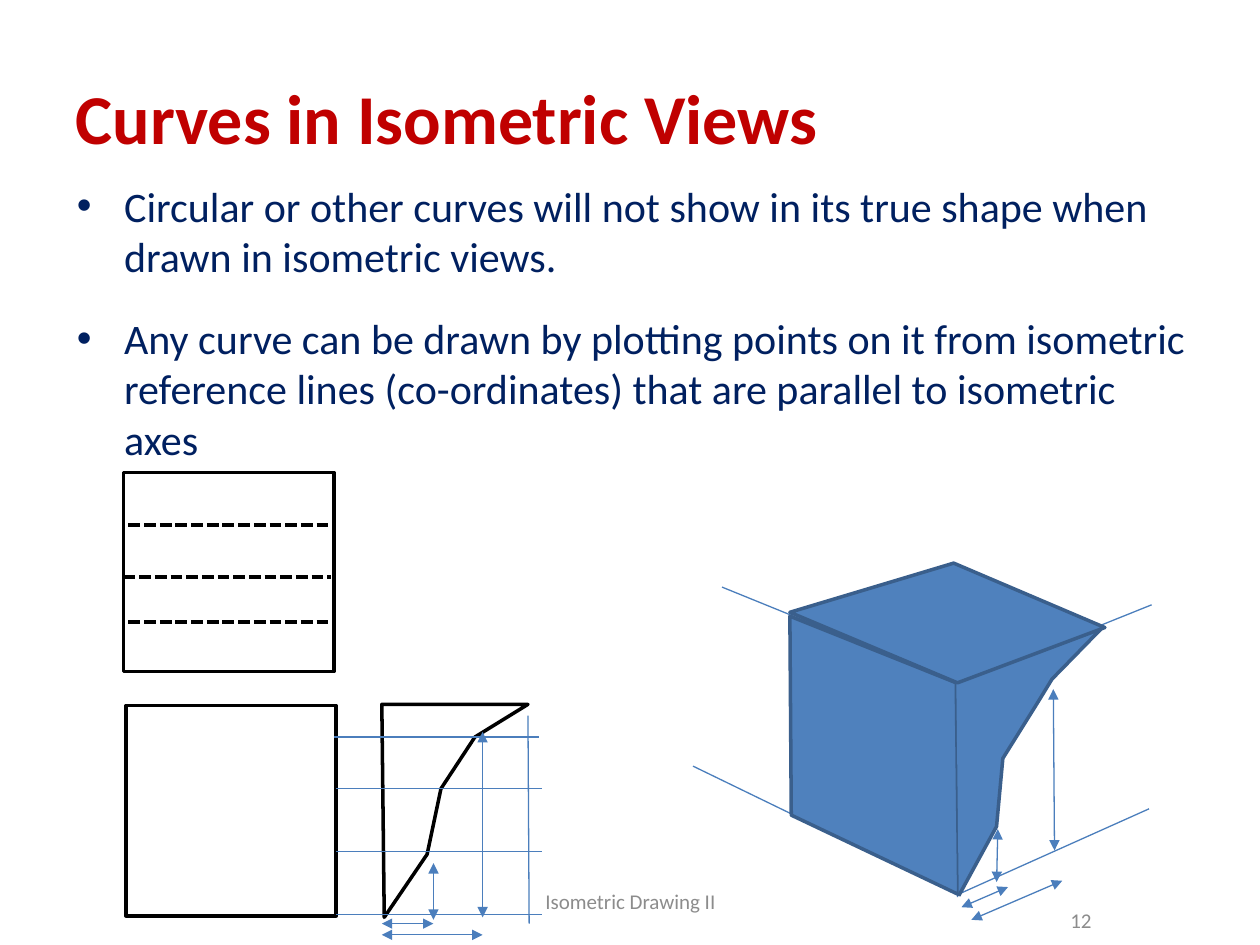
from dataclasses import dataclass

from lxml import etree
from pptx import Presentation
from pptx.dml.color import RGBColor
from pptx.enum import dml, shapes, text
from pptx.oxml.ns import qn
from pptx.util import Pt

COLORS = {
    "title": "C00000", "body": "002060", "footer": "8C8C8C",
    "guide": "4B7EBC", "solid": "4F81BD", "edge": "3A5F8C",
    "ink": "000000", "paper": "FFFFFF",
}
FONT = "Calibri"


@dataclass(frozen=True)
class Line:
    """A straight line between two points; arrows puts a head on both ends."""
    x1: float
    y1: float
    x2: float
    y2: float
    color: str = "guide"
    width: float = 0.75
    dashed: bool = False
    arrows: bool = False


@dataclass(frozen=True)
class Outline:
    points: tuple
    fill: str = "solid"
    edge: str = "edge"
    closed: bool = True


@dataclass(frozen=True)
class Label:
    words: str
    left: float
    top: float
    width: float
    align: text.PP_ALIGN


REFERENCE_LINES = [
    Line(546.5, 390.2, 547.2, 512.6),
    Line(396, 437.8, 547.2, 511.2),
    Line(656.6, 462.2, 547.2, 511.2),
    Line(412.6, 335.5, 547.2, 390.2),
    Line(658.1, 345.6, 547.2, 390.2),
]
FRONT_FACE = Outline(((546.5, 390.2), (547.9, 511.2), (452.2, 465.8), (451.4, 352.1)))
CURVED_FACE = Outline(((547.9, 511.9), (569.5, 472.3), (573.1, 433.4), (593.3, 401),
                       (601.2, 388.1), (630, 358.6), (546.5, 389.5)), closed=False)
TOP_FACE = Outline(((451.4, 349.9), (547.2, 390.2), (631.4, 358.6), (545, 321.8)))
SIDE_VIEW = Outline(((218.2, 402.5), (219.6, 524.2), (244.1, 488.2), (252, 450.7),
                     (271.4, 421.2), (301.7, 402.5)), "paper", "ink")

VIEW_WIDTH = 120.2
FRONT_VIEW = (72, 403.2, VIEW_WIDTH, 120.2)
PLAN_VIEW = (70.6, 270, VIEW_WIDTH, 113.8)

PROJECTION_LINES = [
    Line(x, y, x + 117.4, y)
    for x, y in ((192.2, 522.7), (192.2, 486.7), (192.2, 450.7), (190.8, 421.2))
] + [Line(302.4, 527.8, 301.7, 409)]
HIDDEN_LINES = [
    Line(x, y, x + 118.8, y, "ink", 2.25, dashed=True)
    for x, y in ((73.4, 300.2), (70.6, 329.8), (73.4, 355.7))
]
DIMENSIONS = [
    Line(*ends, arrows=True)
    for ends in (
        (218.2, 527.8, 247.7, 527.8),
        (247.7, 525.6, 247.7, 493.2),
        (275.8, 524.2, 275.8, 418.3),
        (218.2, 534.2, 275.8, 534.2),
        (549.4, 518.4, 576, 506.9),
        (569.5, 504, 570.2, 473.8),
        (555.1, 525.6, 607, 503.3),
        (602.6, 486, 601.9, 393.8),
    )
]
LABELS = [
    Label("Isometric Drawing II", 246.2, 500.4, 228.2, text.PP_ALIGN.CENTER),
    Label("12", 463, 511.2, 167.8, text.PP_ALIGN.RIGHT),
]
BULLETS = [
    "Circular or other curves will not show in its true shape when drawn in isometric views.",
    "Any curve can be drawn by plotting points on it from isometric reference lines "
    "(co-ordinates) that are parallel to isometric axes",
]


def rgb(name: str) -> RGBColor:
    return RGBColor.from_string(COLORS[name])


def place(s, left: float, top: float, width: float, height: float) -> None:
    s.left, s.top, s.width, s.height = Pt(left), Pt(top), Pt(width), Pt(height)


def format_runs(p, size: float, color: str, bold: bool = False) -> None:
    for r in p.runs:
        r.font.name, r.font.size, r.font.bold = FONT, Pt(size), bold
        r.font.color.rgb = rgb(color)


def paint(s, fill: str, edge: str) -> None:
    s.shadow.inherit = False
    s.fill.solid()
    s.fill.fore_color.rgb = rgb(fill)
    s.line.color.rgb = rgb(edge)
    s.line.width = Pt(2)


def draw_line(slide, line: Line) -> None:
    s = slide.shapes.add_connector(
        shapes.MSO_CONNECTOR.STRAIGHT,
        Pt(line.x1), Pt(line.y1), Pt(line.x2), Pt(line.y2))
    s.line.color.rgb = rgb(line.color)
    s.line.width = Pt(line.width)
    if line.dashed:
        s.line.dash_style = dml.MSO_LINE.SQUARE_DOT
    if line.arrows:
        ln = s.line._get_or_add_ln()
        for end in ("a:headEnd", "a:tailEnd"):
            etree.SubElement(ln, qn(end), type="triangle")
    etree.SubElement(s._element.spPr, qn("a:effectLst"))


def draw_outline(slide, outline: Outline) -> None:
    start, *rest = [(Pt(x), Pt(y)) for x, y in outline.points]
    builder = slide.shapes.build_freeform(*start)
    builder.add_line_segments(rest, close=outline.closed)
    paint(builder.convert_to_shape(), outline.fill, outline.edge)


def draw_view(slide, box: tuple) -> None:
    s = slide.shapes.add_shape(shapes.MSO_SHAPE.RECTANGLE, *(Pt(v) for v in box))
    paint(s, "paper", "ink")


def draw_label(slide, label: Label) -> None:
    s = slide.shapes.add_textbox(Pt(label.left), Pt(label.top), Pt(label.width), Pt(28.8))
    tf = s.text_frame
    tf.word_wrap = True
    tf.vertical_anchor = text.MSO_ANCHOR.MIDDLE
    p = tf.paragraphs[0]
    p.text, p.alignment = label.words, label.align
    format_runs(p, 12, "footer")


def fill_title(s) -> None:
    place(s, 36, 21.6, 648, 90)
    tf = s.text_frame
    tf.text = "Curves in Isometric Views"
    tf.auto_size = text.MSO_AUTO_SIZE.NONE
    tf.paragraphs[0].alignment = text.PP_ALIGN.LEFT
    format_runs(tf.paragraphs[0], 40, "title", bold=True)


def fill_body(s) -> None:
    place(s, 36.7, 99.4, 648, 396)
    tf = s.text_frame
    tf.text = "\n".join(BULLETS)
    tf.auto_size = text.MSO_AUTO_SIZE.NONE
    for i, p in enumerate(tf.paragraphs):
        p.space_before = Pt(18 if i else 0)
        format_runs(p, 24, "body")


def main() -> None:
    prs = Presentation()
    prs.slide_width, prs.slide_height = Pt(720), Pt(540)
    slide = prs.slides.add_slide(prs.slide_layouts[1])
    fill_title(slide.shapes.title)
    fill_body(slide.placeholders[1])
    for label in LABELS:
        draw_label(slide, label)
    for line in REFERENCE_LINES:
        draw_line(slide, line)
    for outline in (FRONT_FACE, CURVED_FACE, TOP_FACE, SIDE_VIEW):
        draw_outline(slide, outline)
    for box in (FRONT_VIEW, PLAN_VIEW):
        draw_view(slide, box)
    for line in PROJECTION_LINES + HIDDEN_LINES + DIMENSIONS:
        draw_line(slide, line)
    prs.save("out.pptx")


if __name__ == "__main__":
    main()
